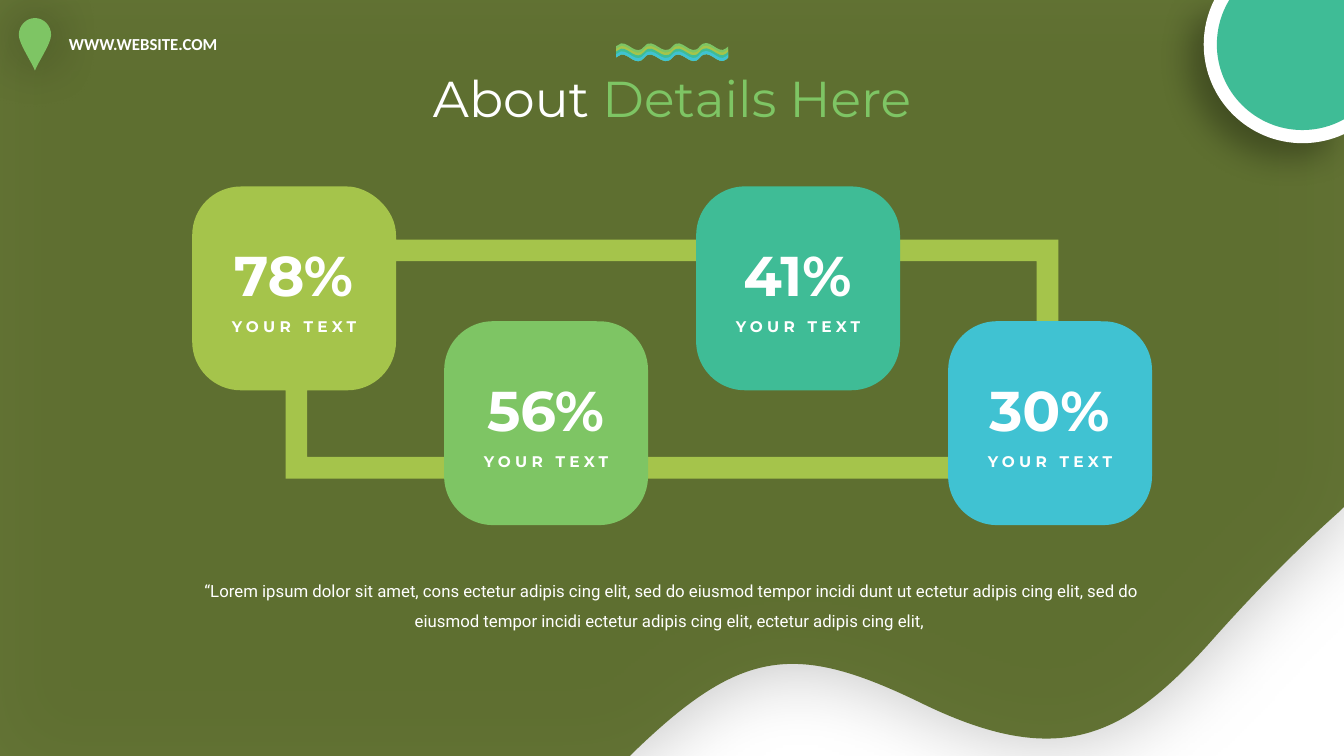
from itertools import pairwise
from math import acos, asin, cos, pi, sin, tan

from lxml.etree import SubElement
from pptx import Presentation
from pptx.dml.color import RGBColor
from pptx.enum.shapes import MSO_SHAPE as Shape
from pptx.enum.text import MSO_AUTO_SIZE as AutoSize, PP_ALIGN as Align
from pptx.oxml.ns import qn
from pptx.util import Pt

OLIVE = RGBColor(0x54, 0x66, 0x21)
GREEN = RGBColor(0x7E, 0xC5, 0x64)
LIME = RGBColor(0xA5, 0xC4, 0x4B)
TEAL = RGBColor(0x3F, 0xBC, 0x96)
BLUE = RGBColor(0x40, 0xC2, 0xD2)
WHITE = RGBColor(0xFF, 0xFF, 0xFF)

SLIDE_W, SLIDE_H = 960, 540
TILE, TILE_STEP, ROW_STEP = 145.6, 180, 96.3
STATS = [("78%", LIME), ("56%", GREEN), ("41%", TEAL), ("30%", BLUE)]


def paint(shape, colour):
    shape.fill.solid()
    shape.fill.fore_color.rgb = colour
    shape.line.fill.background()
    shape.shadow.inherit = False
    return shape


def add_outline(slide, left, top, colour, *contours):
    """Draw closed contours: a start point, then points (lines) or point triples (curves)."""
    def place(x, y):
        return Pt(left + x), Pt(top + y)

    builder = None
    for start, *segments in contours:
        if builder is None:
            builder = slide.shapes.build_freeform(*place(*start), scale=1.0)
        else:
            builder.move_to(*place(*start))
        builder.add_line_segments([place(*(s if len(s) == 2 else s[-1])) for s in segments],
                                  close=True)
    outline = builder.convert_to_shape()

    lines = list(outline._element.iter(qn("a:lnTo")))
    segments = [segment for contour in contours for segment in contour[1:]]
    for line, segment in zip(lines, segments):
        if len(segment) == 3:
            line.clear()
            line.tag = qn("a:cubicBezTo")
            for x, y in (place(*point) for point in segment):
                SubElement(line, qn("a:pt"), x=str(x - outline.left), y=str(y - outline.top))
    return paint(outline, colour)


def set_opacity(colour_element, percent):
    SubElement(colour_element, qn("a:alpha")).set("val", str(percent * 1000))


def cast_shadow(shape, opacity, blur, distance, angle):
    effects = shape._element.spPr.find(qn("a:effectLst"))
    shadow = SubElement(effects, qn("a:outerShdw"), blurRad=str(Pt(blur)),
                        dist=str(Pt(distance)), dir=str(angle * 60000),
                        algn="ctr", rotWithShape="0")
    set_opacity(SubElement(shadow, qn("a:srgbClr"), val="000000"), opacity)


def add_text(slide, box, runs, font, size, bold=False, align=Align.CENTER,
             wrap=False, line_spacing=None, tracking=0):
    """Place one paragraph of (text, colour) runs in the box."""
    frame = slide.shapes.add_textbox(*map(Pt, box)).text_frame
    frame.word_wrap = wrap
    frame.auto_size = AutoSize.SHAPE_TO_FIT_TEXT
    paragraph = frame.paragraphs[0]
    paragraph.alignment = align
    if line_spacing:
        paragraph.line_spacing = line_spacing
    for text, colour in runs:
        run = paragraph.add_run()
        run.text = text
        run.font.name, run.font.size, run.font.bold = font, Pt(size), bold
        run.font.color.rgb = colour
        if tracking:
            run._r.get_or_add_rPr().set("spc", str(tracking * 100))


def add_hillside(slide, width, height):
    hillside = add_outline(slide, 0, 0, OLIVE, [
        (0, 0), (width, 0), (width, 362.2), (955.5, 366.5),
        ((935.3, 384.5), (901.4, 416.9), (863.3, 460.1)),
        ((802.1, 527.8), (755.3, 549.4), (658.8, 502.6)),
        ((568.8, 458.6), (529.9, 463), (454.3, 535.7)),
        (450, height), (0, height)])
    set_opacity(hillside._element.spPr.find(qn("a:solidFill"))[0], 90)
    cast_shadow(hillside, 26, 57, 3, 45)


def add_website(slide, left, top):
    marker = add_outline(slide, left, top, GREEN, [
        (0, 12.1),
        ((0, 5.4), (5.2, 0), (11.55, 0)),
        ((17.9, 0), (23.1, 5.4), (23.1, 12.1)),
        ((23.1, 18.1), (13.5, 32.1), (11.55, 37.5)),
        ((9.6, 32.1), (0, 18.1), (0, 12.1))])
    cast_shadow(marker, 40, 38, 0, 0)
    add_text(slide, (left + 28.7, top + 7.6, 182, 21.8), [("WWW.WEBSITE.COM", WHITE)],
             "Calibri", 12, bold=True, align=Align.LEFT, wrap=True)


def add_corner_disc(slide, center_x, center_y, radius, colour):
    """Draw a disc cut off by the slide's top and right edges."""
    def rim(angle, pull=0.0):
        return (radius * (cos(angle) - pull * sin(angle)),
                radius * (sin(angle) + pull * cos(angle)))

    right, top = SLIDE_W - center_x, -center_y
    angles = [acos(right / radius), pi / 2, pi, pi + asin(center_y / radius)]
    arcs = []
    for a, b in pairwise(angles):
        pull = 4 / 3 * tan((b - a) / 4)
        arcs.append((rim(a, pull), rim(b, -pull), rim(b)))
    return add_outline(slide, center_x, center_y, colour,
                       [rim(angles[-1]), (right, top), (right, rim(angles[0])[1]), *arcs])


def add_waves(slide, left, top):
    lower_edge = 7.9
    for i, colour in enumerate((GREEN, LIME, TEAL, BLUE)):
        y = 1.9 * i
        knots = [(0, 2), (3.5, 0), (9.3, -0.7), (14.3, 9.4), (20.1, 2.2),
                 (26.6, -5.8), (33, 10.8), (40.2, 2.2),
                 (46.7, -5.8), (53.2, 10.8), (59.7, 2.2),
                 (66.2, -5.8), (72.6, 8.6), (78.4, 3.6), (80, 2.2)]
        upper = [(x, y + dy) for x, dy in knots]
        lower = [(x, lower_edge + dy) for x, dy in reversed(knots)]
        band = []
        for edge in (upper, lower):
            band += [*edge[:2], *(tuple(edge[n:n + 3]) for n in range(2, 14, 3)), edge[14]]
        add_outline(slide, left, top, colour, band)


def add_heading(slide, left, top, width):
    add_waves(slide, left + width / 2 - 39.8, top)
    add_text(slide, (left, top + 13.6, width, 51.1),
             [("About ", WHITE), ("Details Here", GREEN)], "Montserrat", 36)


def add_stat_text(slide, left, top, percent):
    inset = 18.8
    width = TILE - 2 * inset
    add_text(slide, (left + inset, top + 89.7, width, 20.6), [("YOUR TEXT", WHITE)],
             "Montserrat", 11, bold=True, tracking=3)
    add_text(slide, (left + inset, top + 35.3, width - 1, 55.7), [(percent, WHITE)],
             "Montserrat", 40, bold=True)


def add_loop(slide, left, top):
    """Draw the first tile and the ring that ties all tiles as one shape."""
    corner, bend = 34.9, 15.5
    near, far = corner - bend, TILE - corner
    add_outline(slide, left, top, LIME, [
        (corner, 0), (far, 0),
        ((TILE - near, 0), (TILE, bend), (TILE, corner)),
        (TILE, 38), (618.7, 38), (618.7, 208.6), (66.7, 208.6), (66.7, TILE), (corner, TILE),
        ((bend, TILE), (0, TILE - bend), (0, far)),
        (0, corner),
        ((0, bend), (bend, 0), (corner, 0)),
    ], [
        (TILE, 53.4), (TILE, far),
        ((TILE, TILE - bend), (TILE - bend, TILE), (far, TILE)),
        (82.2, TILE), (82.2, 193.2), (603.2, 193.2), (603.2, 53.4)])


def add_stats(slide, left, top):
    add_loop(slide, left, top)
    spots = [(left + TILE_STEP * i, top + ROW_STEP * (i % 2)) for i in range(len(STATS))]
    for (x, y), (_, colour) in list(zip(spots, STATS))[1:]:
        tile = slide.shapes.add_shape(Shape.ROUNDED_RECTANGLE,
                                      Pt(x), Pt(y), Pt(TILE), Pt(TILE))
        tile.adjustments[0] = 0.239
        paint(tile, colour)
    for (x, y), (percent, _) in zip(spots, STATS):
        add_stat_text(slide, x, y, percent)


def main():
    presentation = Presentation()
    presentation.slide_width, presentation.slide_height = Pt(SLIDE_W), Pt(SLIDE_H)
    slide = presentation.slides.add_slide(presentation.slide_layouts[6])
    add_hillside(slide, SLIDE_W, SLIDE_H)
    add_website(slide, 13.4, 12.9)
    cast_shadow(add_corner_disc(slide, 930.4, 31.7, 70.6, WHITE), 29, 23, 15, 135)
    add_corner_disc(slide, 930.4, 31.7, 61.2, TEAL)
    add_heading(slide, 288.8, 31, 382.4)
    add_stats(slide, 137.3, 133.2)
    quote = ("“Lorem ipsum dolor sit amet, cons ectetur adipis cing elit, sed do eiusmod "
             "tempor incidi dunt ut ectetur adipis cing elit, sed do eiusmod tempor incidi "
             "ectetur adipis cing elit, ectetur adipis cing elit, ")
    add_text(slide, (127.4, 403.9, 704.9, 48.2), [(quote, WHITE)], "Roboto", 12,
             wrap=True, line_spacing=1.5)
    presentation.save("out.pptx")


if __name__ == "__main__":
    main()
